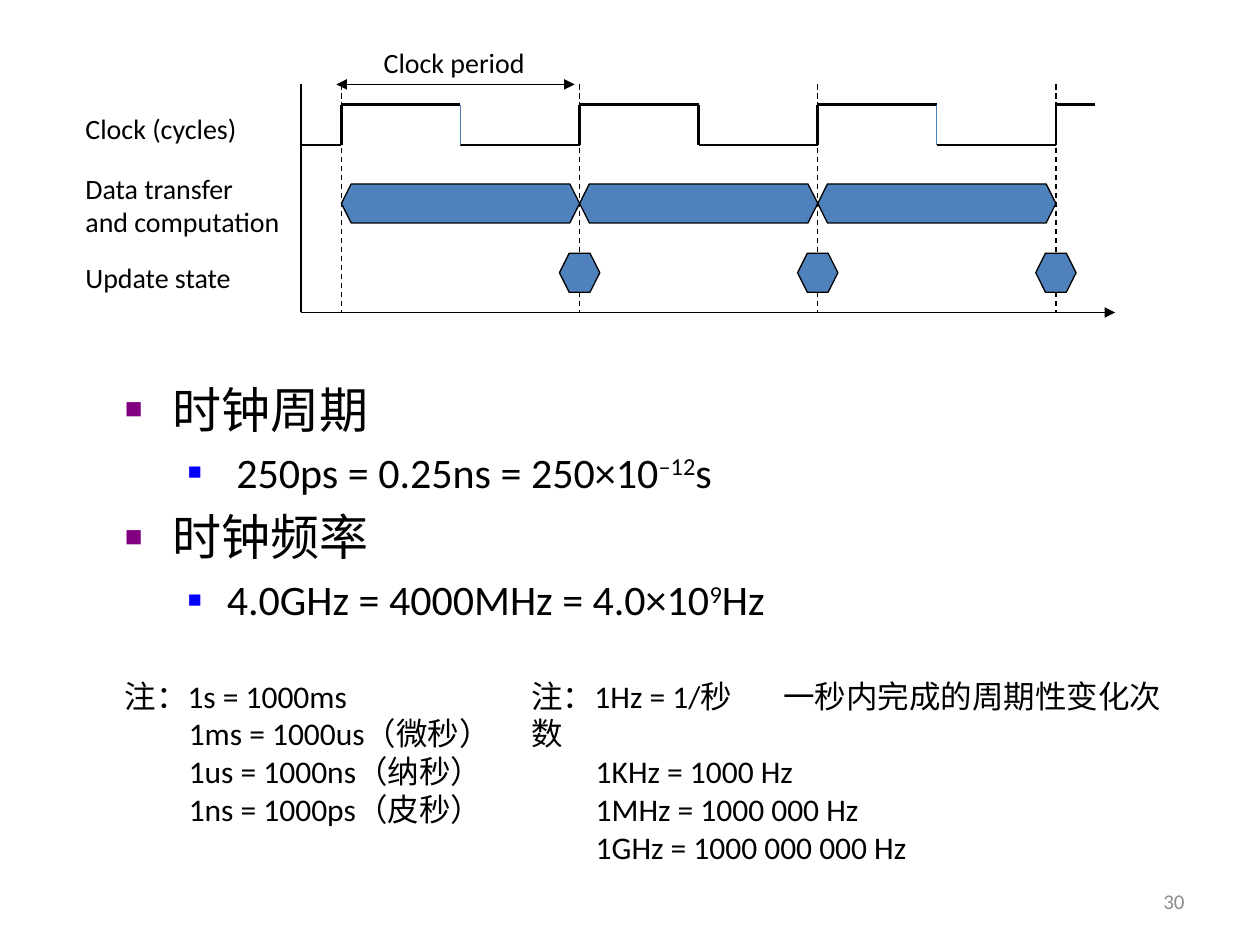
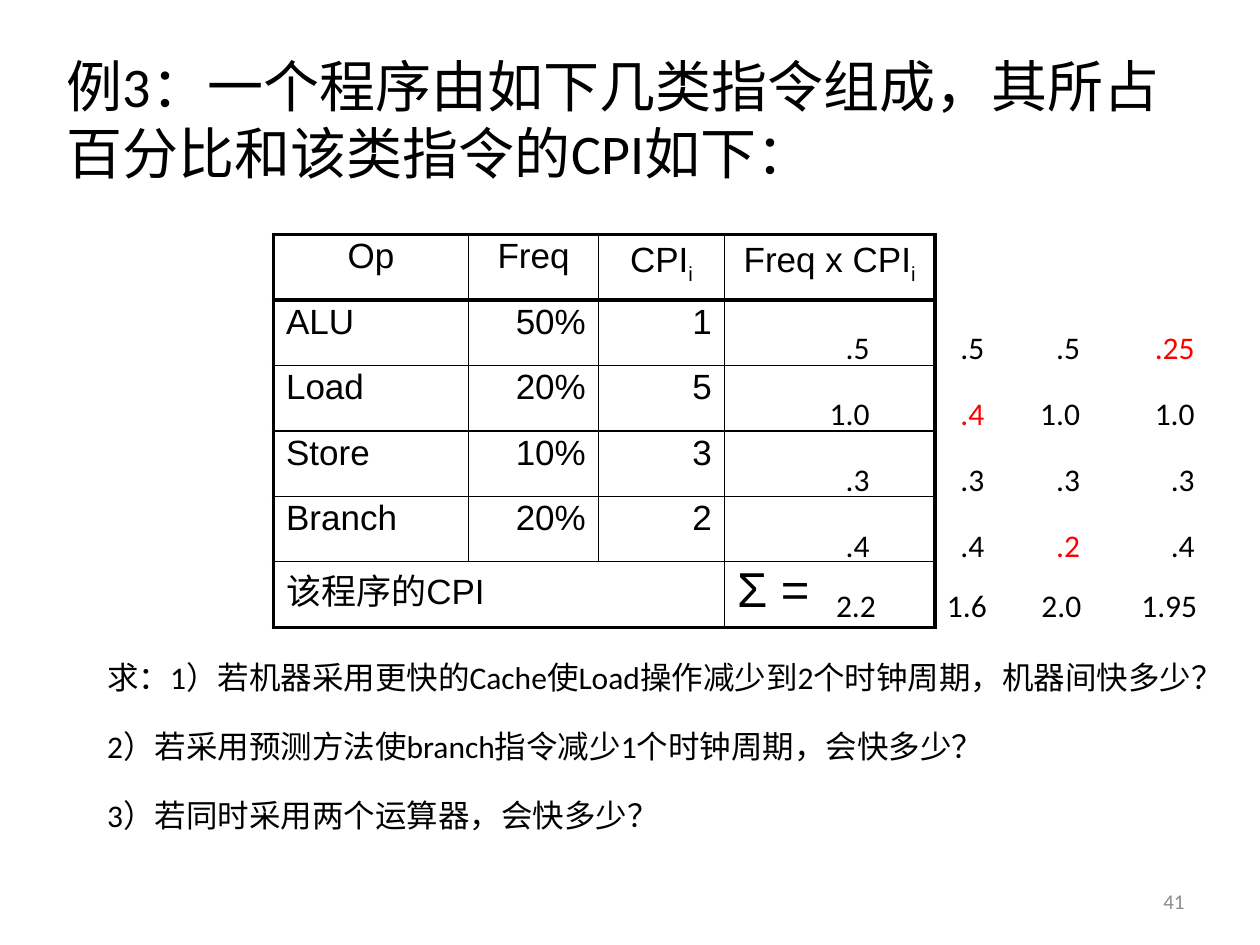
from lxml import etree
from pptx import Presentation
from pptx.dml.color import RGBColor
from pptx.enum.dml import MSO_LINE
from pptx.enum.shapes import MSO_CONNECTOR, MSO_SHAPE
from pptx.enum.text import MSO_ANCHOR, MSO_AUTO_SIZE, PP_ALIGN
from pptx.oxml.ns import qn
from pptx.util import Inches, Pt

COLORS = {
    "text": "000000",
    "number": "8C8C8C",
    "block": "4F81BD",
    "thin_edge": "4B7EBC",
    "bullet": "800080",
    "sub_bullet": "0000FF",
    "changed": "FF0000",
}
LEFT, CENTER, RIGHT = PP_ALIGN.LEFT, PP_ALIGN.CENTER, PP_ALIGN.RIGHT
TOP, MIDDLE = MSO_ANCHOR.TOP, MSO_ANCHOR.MIDDLE
STRAIGHT, HEXAGON, DASH = MSO_CONNECTOR.STRAIGHT, MSO_SHAPE.HEXAGON, MSO_LINE.DASH
FIXED, GROW = MSO_AUTO_SIZE.NONE, MSO_AUTO_SIZE.SHAPE_TO_FIT_TEXT
TITLE_AND_CONTENT = 1


def rgb(name):
    return RGBColor.from_string(COLORS[name])


def add_element(parent, tag, **attributes):
    element = etree.SubElement(parent, qn(tag))
    for key, value in attributes.items():
        element.set(key, str(value))
    return element


def write(frame, text, size=18, font="Calibri", color="text", align=LEFT, level=0,
          margin=0, indent=0, before=0, spacing=1.0, bullet=None, bullet_size=60,
          tab=None):
    """Add one paragraph; text is a string or a list of (string, baseline percent)."""
    paragraph = frame.paragraphs[0]
    if paragraph.runs:
        paragraph = frame.add_paragraph()
    paragraph.alignment, paragraph.level = align, level
    paragraph.line_spacing, paragraph.space_before = spacing, Pt(before)
    properties = paragraph._p.get_or_add_pPr()
    properties.set("marL", str(Inches(margin)))
    properties.set("indent", str(Inches(indent)))
    if bullet:
        add_element(add_element(properties, "a:buClr"), "a:srgbClr", val=COLORS[bullet])
        add_element(properties, "a:buSzPct", val=bullet_size * 1000)
        add_element(properties, "a:buFont", typeface="Arial")
        add_element(properties, "a:buChar", char="■")
    else:
        add_element(properties, "a:buNone")
    if tab:
        add_element(add_element(properties, "a:tabLst"), "a:tab",
                    pos=Inches(tab), algn="l")
    for words, baseline in [(text, 0)] if isinstance(text, str) else text:
        run = paragraph.add_run()
        run.text = words
        run.font.name, run.font.size, run.font.bold = font, Pt(size), False
        run.font.color.rgb = rgb(color)
        if baseline:
            run._r.get_or_add_rPr().set("baseline", str(baseline * 1000))


class Deck:
    """Holds the presentation, its shared style and the current slide."""

    def __init__(self):
        self.presentation = Presentation()
        self.presentation.slide_width = Inches(10)
        self.presentation.slide_height = Inches(7.5)
        self.slide = None

    def new_slide(self, number):
        layout = self.presentation.slide_layouts[TITLE_AND_CONTENT]
        self.slide = self.presentation.slides.add_slide(layout)
        frame = self.text_box(7.17, 6.95, 2.33, 0.4, anchor=MIDDLE, fit=FIXED)
        write(frame, str(number), size=12, color="number", align=RIGHT)

    def placeholder(self, index, left, top, width, height):
        shape = self.slide.placeholders[index]
        shape.left, shape.top = Inches(left), Inches(top)
        shape.width, shape.height = Inches(width), Inches(height)
        frame = shape.text_frame
        frame.word_wrap, frame.auto_size, frame.vertical_anchor = True, FIXED, TOP
        return frame

    def remove_title(self):
        title = self.slide.shapes.title._element
        title.getparent().remove(title)

    def text_box(self, left, top, width, height, wrap=True, anchor=TOP, fit=GROW):
        frame = self.slide.shapes.add_textbox(
            Inches(left), Inches(top), Inches(width), Inches(height)).text_frame
        frame.word_wrap, frame.auto_size, frame.vertical_anchor = wrap, fit, anchor
        return frame

    def line(self, x1, y1, x2, y2, color="text", width=0.75, dash=None, arrows=()):
        connector = self.slide.shapes.add_connector(
            STRAIGHT, Inches(x1), Inches(y1), Inches(x2), Inches(y2))
        connector.line.color.rgb = rgb(color)
        connector.line.width = Pt(width)
        if dash:
            connector.line.dash_style = dash
        for end in arrows:
            add_element(connector.line._get_or_add_ln(), end, type="triangle")
        add_element(connector._element.spPr, "a:effectLst")

    def hexagon(self, left, top, width, height):
        shape = self.slide.shapes.add_shape(
            HEXAGON, Inches(left), Inches(top), Inches(width), Inches(height))
        shape.adjustments[0] = 0.25
        shape.shadow.inherit = False
        shape.fill.solid()
        shape.fill.fore_color.rgb = rgb("block")
        shape.line.color.rgb = rgb("text")
        shape.line.width = Pt(0.75)

    def table(self, left, top, widths, row_height, row_count):
        shape = self.slide.shapes.add_table(
            row_count, len(widths), Inches(left), Inches(top),
            Inches(sum(widths)), Inches(row_height * row_count))
        table = shape.table
        table.first_row = table.horz_banding = False
        for column, width in zip(table.columns, widths):
            column.width = Inches(width)
        for row in range(row_count):
            for column in range(len(widths)):
                cell = table.cell(row, column)
                heavy = {
                    "a:lnL": column == 0,
                    "a:lnR": column == len(widths) - 1,
                    "a:lnT": row in (0, 1),
                    "a:lnB": row in (0, row_count - 1),
                }
                properties = cell._tc.get_or_add_tcPr()
                for side, is_heavy in heavy.items():
                    border = add_element(properties, side,
                                         w=Pt(2.25 if is_heavy else 1))
                    fill = add_element(border, "a:solidFill")
                    add_element(fill, "a:srgbClr", val=COLORS["text"])
                cell.fill.background()
        return table


def draw_timing_diagram(deck):
    axis, first_rise, period = 2.39, 2.71, 1.89
    top, high, low, bottom = 0.67, 0.83, 1.15, 2.48
    rises = [first_rise + period * cycle for cycle in range(4)]

    for rise in rises:
        deck.line(rise, top, rise, bottom, dash=DASH)

    deck.line(axis, low, first_rise, low, width=1.5)
    for rise in rises:
        deck.line(rise, high, rise, low, width=1.5)
    for cycle, rise in enumerate(rises[:-1]):
        fall = rise + period / 2
        deck.line(rise, high, fall, high, width=1.5)
        deck.line(fall, low, rise + period, low, width=1.5)
        if cycle == 1:
            deck.line(fall, high, fall, low, width=1.5)
        else:
            deck.line(fall, high, fall, low, color="thin_edge")
        deck.hexagon(rise, 1.46, period, 0.31)
        deck.hexagon(rise + period - 0.16, 2.01, 0.32, 0.31)
    deck.line(rises[-1], high, 8.69, high, width=1.5)

    deck.line(axis, bottom, 8.85, bottom, arrows=["a:tailEnd"])
    deck.line(axis, bottom, axis, top)
    deck.line(2.67, top, 4.56, top, arrows=["a:headEnd", "a:tailEnd"])

    labels = [
        (0.58, 0.84, 1.58, 0.37, LEFT, ["Clock (cycles)"]),
        (0.58, 1.31, 1.84, 0.64, LEFT, ["Data transfer", "and computation"]),
        (0.58, 2.02, 1.46, 0.37, LEFT, ["Update state"]),
        (2.89, 0.31, 1.43, 0.37, CENTER, ["Clock period"]),
    ]
    for left, label_top, width, height, align, lines in labels:
        frame = deck.text_box(left, label_top, width, height, wrap=False)
        for text in lines:
            write(frame, text, size=16, align=align)


def build_clock_slide(deck):
    deck.new_slide(30)
    deck.remove_title()
    draw_timing_diagram(deck)

    body = deck.placeholder(1, 0.89, 2.96, 8.5, 2.13)
    topics = [
        ("时钟周期", [(" 250ps = 0.25ns = 250×10", 0), ("–12", 30), ("s", 0)]),
        ("时钟频率", [("4.0GHz = 4000MHz = 4.0×10", 0), ("9", 30), ("Hz", 0)]),
    ]
    for index, (topic, value) in enumerate(topics):
        write(body, topic, size=28, margin=0.38, indent=-0.38,
              before=5.6 if index else 0, bullet="bullet")
        write(body, value, size=24, level=1, margin=0.81, indent=-0.31,
              before=4.8, bullet="sub_bullet", bullet_size=55)

    notes = [
        (0.89, 3.24, "注：1s = 1000ms",
         ["1ms = 1000us（微秒）", "1us = 1000ns（纳秒）", "1ns = 1000ps（皮秒）"]),
        (4.12, 5.27, "注：1Hz = 1/秒\t一秒内完成的周期性变化次数",
         ["1KHz = 1000 Hz", "1MHz = 1000 000 Hz", "1GHz = 1000 000 000 Hz"]),
    ]
    for left, width, heading, units in notes:
        frame = deck.text_box(left, 5.32, width, 1.31)
        write(frame, heading, tab=1.93)
        for unit in units:
            write(frame, unit, margin=0.51)


def build_cpi_slide(deck):
    deck.new_slide(41)
    title = deck.placeholder(0, 0.43, 0.36, 9, 1.26)
    write(title, "例3：一个程序由如下几类指令组成，其所占百分比和该类指令的CPI如下：", size=32)

    rows = [
        ["Op", "Freq", [("CPI", 0), ("i", -25)], [("Freq x CPI", 0), ("i", -25)]],
        ["ALU", "50%", "1"],
        ["Load", "20%", "5"],
        ["Store", "10%", "3"],
        ["Branch", "20%", "2"],
    ]
    table = deck.table(2.17, 1.86, [1.55, 1.03, 1, 1.67], 0.52, len(rows) + 1)
    for row, values in enumerate(rows):
        for column, value in enumerate(values):
            align = CENTER if row == 0 else RIGHT if column else LEFT
            write(table.cell(row, column).text_frame, value, size=20, font="Arial",
                  align=align, spacing=0.9)
    last = len(rows)
    table.cell(last, 0).merge(table.cell(last, 2))
    for column, text, size in [(0, "该程序的CPI", 20), (3, "Σ =", 28)]:
        write(table.cell(last, column).text_frame, text, size=size, font="Arial",
              spacing=0.9)

    # left, width, products, changed row, then left, width and text of the sum
    results = [
        (6.45, 0.55, [".5", "1.0", ".3", ".4"], None, 6.5, 0.55, "2.2"),
        (7.46, 0.45, [".5", ".4", ".3", ".4"], 1, 7.38, 0.55, "1.6"),
        (8.15, 0.52, [".5", "1.0", ".3", ".2"], 3, 8.13, 0.55, "2.0"),
        (9.06, 0.52, [".25", "1.0", ".3", ".4"], 0, 8.91, 0.69, "1.95"),
    ]
    for left, width, products, changed, sum_left, sum_width, total in results:
        frame = deck.text_box(left, 2.33, width, 2.2, wrap=False)
        for row, product in enumerate(products):
            write(frame, product, color="changed" if row == changed else "text",
                  align=RIGHT, spacing=1.75)
        frame = deck.text_box(sum_left, 4.38, sum_width, 0.63, wrap=False)
        write(frame, total, align=RIGHT, spacing=1.75)

    questions = deck.placeholder(1, 0.75, 5.17, 8.98, 1.92)
    for index, question in enumerate([
        "求：1）若机器采用更快的Cache使Load操作减少到2个时钟周期，机器间快多少？",
        "2）若采用预测方法使branch指令减少1个时钟周期，会快多少？",
        "3）若同时采用两个运算器，会快多少？",
    ]):
        write(questions, question, before=18 if index else 0)


def main():
    deck = Deck()
    build_clock_slide(deck)
    build_cpi_slide(deck)
    deck.presentation.save("out.pptx")


if __name__ == "__main__":
    main()
